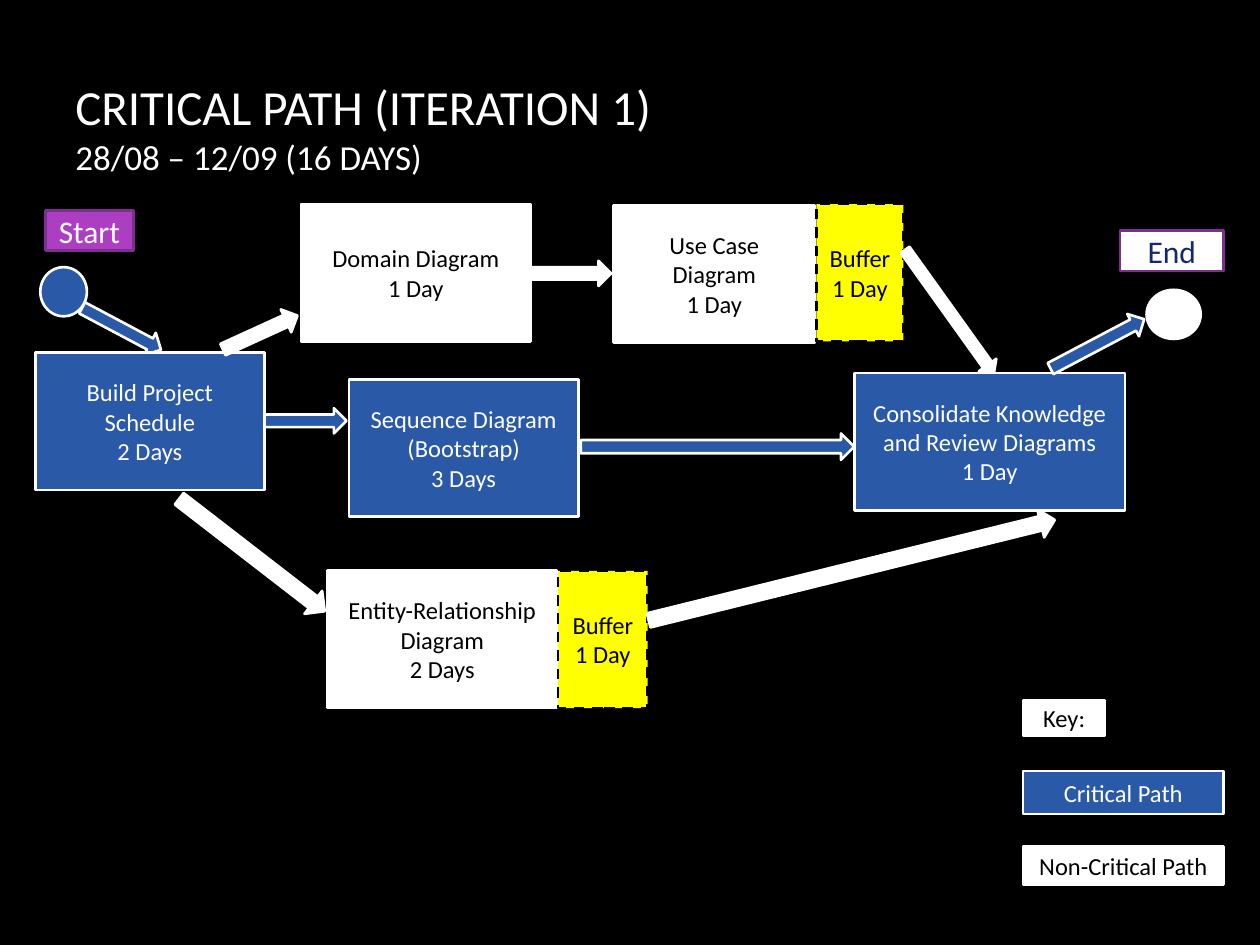
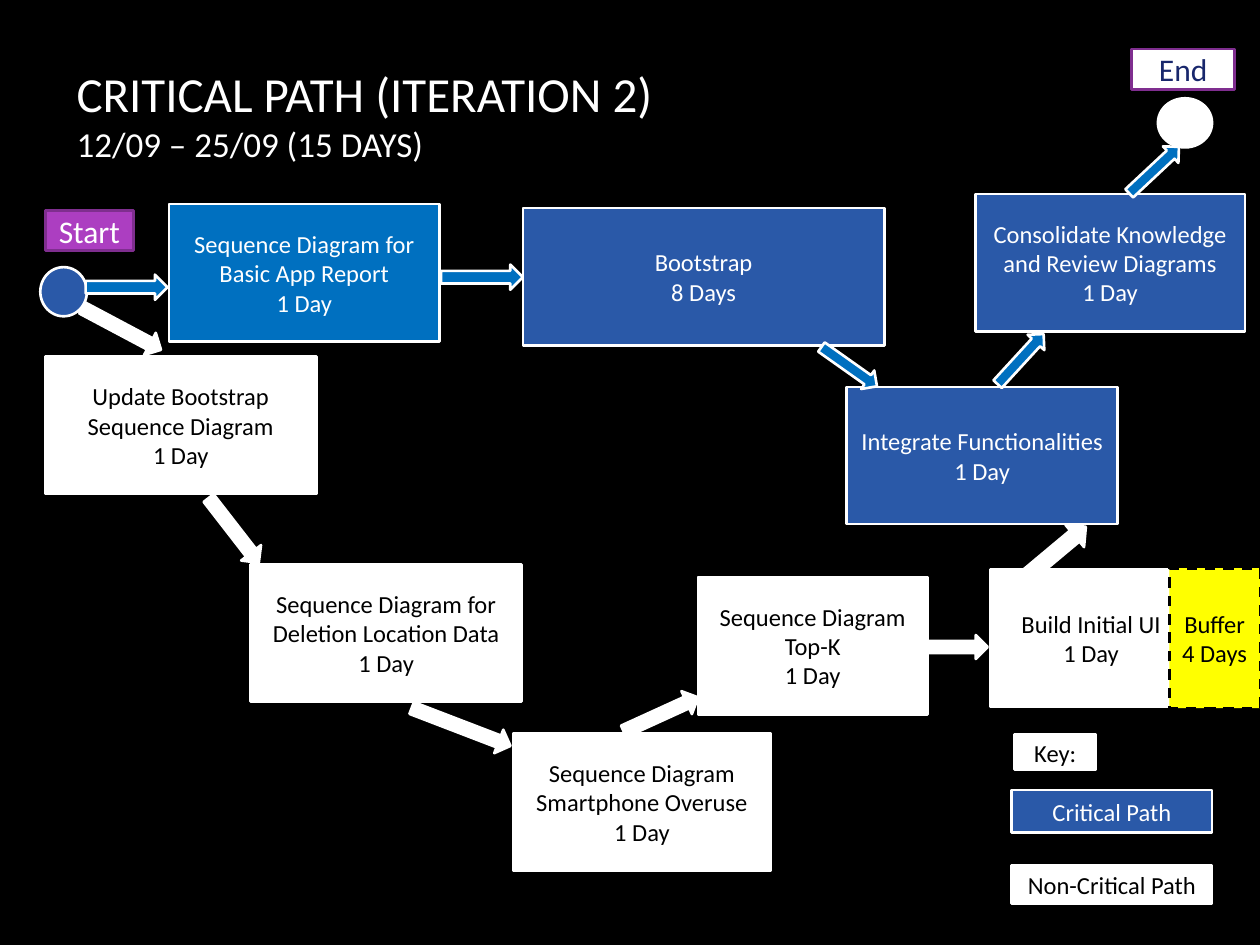
from dataclasses import dataclass
from typing import NamedTuple

from pptx import Presentation
from pptx.dml.color import RGBColor
from pptx.enum.dml import MSO_LINE
from pptx.enum.shapes import MSO_SHAPE
from pptx.enum.text import MSO_ANCHOR, PP_ALIGN
from pptx.util import Inches, Pt

RECT, DOT, ARROW = MSO_SHAPE.RECTANGLE, MSO_SHAPE.OVAL, MSO_SHAPE.RIGHT_ARROW
MIDDLE, CENTER, DASH = MSO_ANCHOR.MIDDLE, PP_ALIGN.CENTER, MSO_LINE.DASH

BLACK = RGBColor(0x00, 0x00, 0x00)
WHITE = RGBColor(0xFF, 0xFF, 0xFF)
BLUE = RGBColor(0x2A, 0x59, 0xA8)
AZURE = RGBColor(0x00, 0x70, 0xC0)
YELLOW = RGBColor(0xFF, 0xFF, 0x00)
VIOLET = RGBColor(0xAC, 0x3E, 0xC1)
PLUM = RGBColor(0x7F, 0x2E, 0x8F)
NAVY = RGBColor(0x18, 0x27, 0x6C)

FONT = "Calibri"
WIDTH, HEIGHT = Inches(10), Inches(7.5)
COLS, ROWS = 100, 75  # every length below counts these columns and rows
TASK_ROWS = 10.9


class Tone(NamedTuple):
    fill: RGBColor
    ink: RGBColor
    line: RGBColor = WHITE
    size: int = 14
    dashed: bool = False


CRITICAL = Tone(BLUE, WHITE)
BASIC = Tone(AZURE, WHITE)
FREE = Tone(WHITE, BLACK)
BUFFER = Tone(YELLOW, BLACK, BLACK, dashed=True)
START = Tone(VIOLET, WHITE, PLUM, 18)
END = Tone(WHITE, NAVY, PLUM, 18)


@dataclass
class Block:
    tone: Tone
    left: float
    top: float
    wide: float
    high: float
    form: int = RECT
    turn: float = 0
    lines: tuple[str, ...] = ()


@dataclass
class Page:
    title: str
    dates: str
    title_at: tuple[float, float]
    end_at: tuple[float, float]
    end_dot: tuple[float, float]
    key_at: tuple[float, float]
    bars_at: tuple[float, float]
    blocks: list[Block]


def task(tone: Tone, left: float, top: float, wide: float, name: str,
         days: str, high: float = TASK_ROWS) -> Block:
    return Block(tone, left, top, wide, high, lines=(name, days))


def arrow(tone: Tone, left: float, top: float, wide: float,
          high: float = 2, turn: float = 0) -> Block:
    return Block(tone, left, top, wide, high, ARROW, turn)


def tag(tone: Tone, spot: tuple[float, float], wide: float, high: float,
        text: str) -> Block:
    return Block(tone, *spot, wide, high, lines=(text,))


def common(page: Page) -> list[Block]:
    """Start and end marks and the key, which every page has."""
    left, top = page.bars_at
    return [
        Block(CRITICAL, 3.2, 21.2, 3.7, 3.9, DOT),
        Block(FREE, *page.end_dot, 4.3, 3.9, DOT),
        tag(START, (3.6, 16.7), 7, 3.2, "Start"),
        tag(END, page.end_at, 8.2, 3.2, "End"),
        tag(FREE, page.key_at, 6.5, 2.8, "Key:"),
        tag(CRITICAL, (left, top), 15.9, 3.4, "Critical Path"),
        tag(FREE, (left, top + 6), 15.9, 3, "Non-Critical Path"),
    ]


def place(left: float, top: float, wide: float, high: float) -> list[int]:
    """Turn columns and rows into slide lengths."""
    col, row = WIDTH / COLS, HEIGHT / ROWS
    return [round(left * col), round(top * row),
            round(wide * col), round(high * row)]


def write(para, text: str, size: int, ink: RGBColor) -> None:
    run = para.add_run()
    run.text = text
    run.font.name = FONT
    run.font.size = Pt(size)
    run.font.color.rgb = ink


def draw(slide, block: Block) -> None:
    tone = block.tone
    shape = slide.shapes.add_shape(
        block.form, *place(block.left, block.top, block.wide, block.high))
    shape.rotation = block.turn
    shape.shadow.inherit = False
    shape.fill.solid()
    shape.fill.fore_color.rgb = tone.fill
    shape.line.color.rgb = tone.line
    shape.line.width = Pt(1.5)
    if tone.dashed:
        shape.line.dash_style = DASH
    frame = shape.text_frame
    frame.vertical_anchor = MIDDLE
    for i, text in enumerate(block.lines):
        para = frame.add_paragraph() if i else frame.paragraphs[0]
        para.alignment = CENTER
        write(para, text, tone.size, tone.ink)


def head(slide, page: Page) -> None:
    box = slide.shapes.add_textbox(*place(*page.title_at, 85, 15.9))
    frame = box.text_frame
    frame.word_wrap = True
    frame.vertical_anchor = MIDDLE
    para = frame.paragraphs[0]
    write(para, page.title, 28, WHITE)
    para.add_line_break()
    write(para, page.dates, 20, WHITE)


REVIEW = "Consolidate Knowledge and Review Diagrams"

PAGES = [
    Page(
        "CRITICAL PATH (ITERATION 1)", "28/08 – 12/09 (16 DAYS)",
        title_at=(5, 2.1), end_at=(88.9, 18.3), end_dot=(91, 23),
        key_at=(81.2, 55.6), bars_at=(81.2, 61.2),
        blocks=[
            arrow(CRITICAL, 6.1, 25.1, 7.1, turn=28),
            task(CRITICAL, 2.8, 28, 18.2, "Build Project Schedule", "2 Days"),
            arrow(FREE, 17.4, 25.4, 6.5, turn=335.5),
            task(FREE, 23.9, 16.2, 18.2, "Domain Diagram", "1 Day"),
            arrow(FREE, 42, 20.7, 6.5),
            task(FREE, 48.7, 16.3, 16, "Use Case Diagram", "1 Day"),
            arrow(CRITICAL, 21, 32.4, 6.5),
            task(CRITICAL, 27.7, 30.1, 18.2,
                 "Sequence Diagram (Bootstrap)", "3 Days"),
            task(BUFFER, 64.8, 16.2, 6.9, "Buffer", "1 Day"),
            arrow(FREE, 12.7, 42.9, 14.6, 2.3, 37.7),
            task(FREE, 26, 45.3, 18.2,
                 "Entity-Relationship Diagram", "2 Days"),
            task(BUFFER, 44.3, 45.3, 7.1, "Buffer", "1 Day"),
            arrow(FREE, 51, 44.1, 33.2, 2.3, 346.1),
            arrow(FREE, 69.3, 23.9, 12.1, 1.7, 54.4),
            arrow(CRITICAL, 46.1, 34.4, 21.7, 2.1),
            task(CRITICAL, 67.8, 29.6, 21.5, REVIEW, "1 Day"),
            arrow(CRITICAL, 82.9, 26.3, 8.4, turn=332.2),
        ]),
    Page(
        "CRITICAL PATH (ITERATION 2)", "12/09 – 25/09 (15 DAYS)",
        title_at=(5.1, 1.1), end_at=(89.8, 3.9), end_dot=(91.9, 7.8),
        key_at=(80.5, 58.3), bars_at=(80.3, 62.7),
        blocks=[
            arrow(FREE, 6.1, 25.1, 7.1, turn=28),
            arrow(FREE, 49.2, 55.7, 6.5, turn=335.5),
            task(FREE, 78.6, 45.2, 16, "Build Initial UI", "1 Day"),
            arrow(BASIC, 6.8, 21.8, 6.5),
            task(FREE, 40.7, 58.2, 20.5,
                 "Sequence Diagram Smartphone Overuse", "1 Day"),
            arrow(FREE, 15.3, 41.1, 6.5, turn=52.2),
            task(FREE, 55.4, 45.8, 18.2, "Sequence Diagram Top-K", "1 Day"),
            task(BUFFER, 92.8, 45.1, 7.2, "Buffer", "4 Days", 11.1),
            arrow(FREE, 72.8, 50.4, 5.6, 1.9),
            task(CRITICAL, 41.5, 16.5, 28.7, "Bootstrap", "8 Days"),
            arrow(FREE, 32.4, 56.7, 8.4, turn=21),
            task(FREE, 3.6, 28.3, 21.5,
                 "Update Bootstrap Sequence Diagram", "1 Day"),
            task(BASIC, 13.4, 16.2, 21.5,
                 "Sequence Diagram for Basic App Report", "1 Day"),
            task(FREE, 19.9, 44.8, 21.5,
                 "Sequence Diagram for Deletion Location Data", "1 Day"),
            arrow(BASIC, 35, 21, 6.5),
            task(CRITICAL, 67.2, 30.7, 21.5,
                 "Integrate Functionalities", "1 Day"),
            arrow(BASIC, 64.7, 28.2, 5.4, 1.8, 35.3),
            arrow(BASIC, 78.3, 27.6, 5.4, 1.8, 312.6),
            task(CRITICAL, 77.4, 15.4, 21.4, REVIEW, "1 Day"),
            arrow(BASIC, 88.9, 12.6, 5.4, 1.8, 316.9),
            arrow(FREE, 80, 42.9, 7, 2.3, 320.1),
        ]),
]


def main() -> None:
    deck = Presentation()
    deck.slide_width, deck.slide_height = WIDTH, HEIGHT
    blank = deck.slide_layouts[6]
    for page in PAGES:
        slide = deck.slides.add_slide(blank)
        slide.background.fill.solid()
        slide.background.fill.fore_color.rgb = BLACK
        head(slide, page)
        for block in common(page) + page.blocks:
            draw(slide, block)
    deck.save("out.pptx")


if __name__ == "__main__":
    main()
